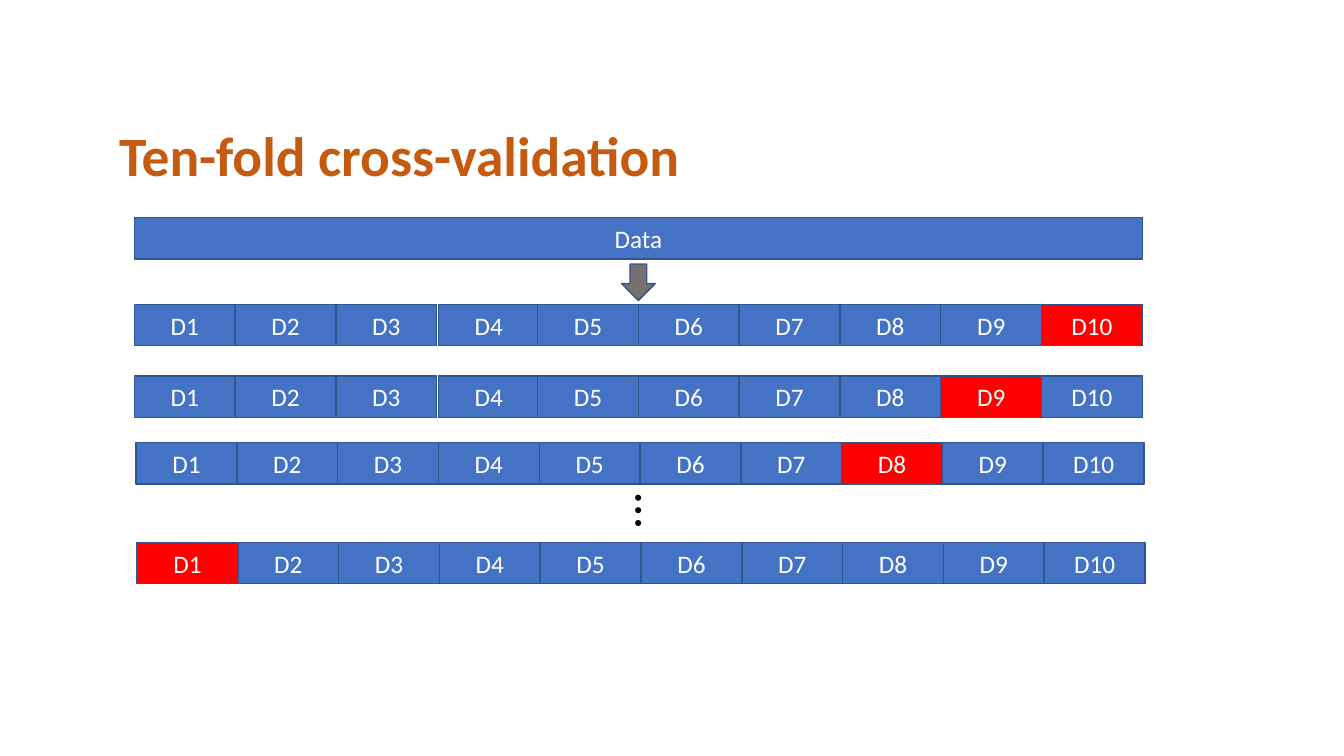
from pptx import Presentation
from pptx.dml.color import RGBColor
from pptx.enum.shapes import MSO_SHAPE as Shape
from pptx.enum.text import MSO_ANCHOR as Anchor, MSO_AUTO_SIZE as AutoSize, PP_ALIGN as Align
from pptx.util import Pt

# Content
TITLE = "Ten-fold cross-validation"
DATA_LABEL = "Data"
FOLD_LABELS = [f"D{number}" for number in range(1, 11)]
# (left, top, label of the held-out fold, extra shift of D4)
ROUNDS = [
    (96, 217.4, "D10", 1.2),
    (96, 268.6, "D9", 1.2),
    (97.2, 316.1, "D8", 0),
    (97.9, 387.4, "D1", 0),
]

# Style
COLORS = {
    "title": "C55A11",
    "train": "4472C4",
    "test": "FF0000",
    "border": "325491",
    "arrow": "767171",
    "light": "FFFFFF",
    "dark": "000000",
}
FONT = "Calibri"
FOLD_WIDTH, BAR_HEIGHT = 72, 29.6
DATA_LEFT, DATA_TOP = 96, 155.5


def color(name):
    return RGBColor.from_string(COLORS[name])


def write(shape, text, size=18, tint="light", bold=False, align=Align.CENTER, anchor=Anchor.MIDDLE):
    frame = shape.text_frame
    frame.word_wrap = True
    frame.vertical_anchor = anchor
    paragraph = frame.paragraphs[0]
    paragraph.alignment = align
    run = paragraph.add_run()
    run.text = text
    run.font.name = FONT
    run.font.size = Pt(size)
    run.font.bold = bold
    run.font.color.rgb = color(tint)
    return paragraph


def add_block(slide, kind, left, top, width, height, fill):
    shape = slide.shapes.add_shape(kind, Pt(left), Pt(top), Pt(width), Pt(height))
    shape.shadow.inherit = False
    shape.fill.solid()
    shape.fill.fore_color.rgb = color(fill)
    shape.line.color.rgb = color("border")
    shape.line.width = Pt(1)
    return shape


def main():
    presentation = Presentation()
    presentation.slide_width, presentation.slide_height = Pt(960), Pt(540)
    slide = presentation.slides.add_slide(presentation.slide_layouts[5])

    # Title
    title = slide.shapes.title
    title.left, title.top, title.width, title.height = Pt(77.8), Pt(93.6), Pt(828), Pt(39.6)
    heading = write(title, TITLE, size=39.6, tint="title", bold=True, align=Align.LEFT)
    heading.line_spacing = 0.9
    title.text_frame.auto_size = AutoSize.NONE

    # Whole data set
    data_width = FOLD_WIDTH * len(FOLD_LABELS)
    data_bar = add_block(slide, Shape.RECTANGLE, DATA_LEFT, DATA_TOP, data_width, BAR_HEIGHT, "train")
    write(data_bar, DATA_LABEL)

    # Rounds of ten folds, one held out in each
    for left, top, held_out, shift in ROUNDS:
        for index, label in enumerate(FOLD_LABELS):
            fold_left = left + index * FOLD_WIDTH + (shift if label == "D4" else 0)
            fill = "test" if label == held_out else "train"
            fold = add_block(slide, Shape.RECTANGLE, fold_left, top, FOLD_WIDTH, BAR_HEIGHT, fill)
            write(fold, label)

    # Vertical ellipsis between the third and last rounds
    ellipsis = slide.shapes.add_textbox(Pt(444.2), Pt(343.4), Pt(47.5), Pt(51))
    ellipsis.rotation = 90
    write(ellipsis, "…", size=36, tint="dark", align=Align.LEFT, anchor=Anchor.TOP)
    ellipsis.text_frame.auto_size = AutoSize.SHAPE_TO_FIT_TEXT

    # Arrow from the data to the folds
    arrow_width = 24
    arrow_left = DATA_LEFT + (data_width - arrow_width) / 2
    add_block(slide, Shape.DOWN_ARROW, arrow_left, 188.6, arrow_width, 26, "arrow")

    presentation.save("out.pptx")


if __name__ == "__main__":
    main()
